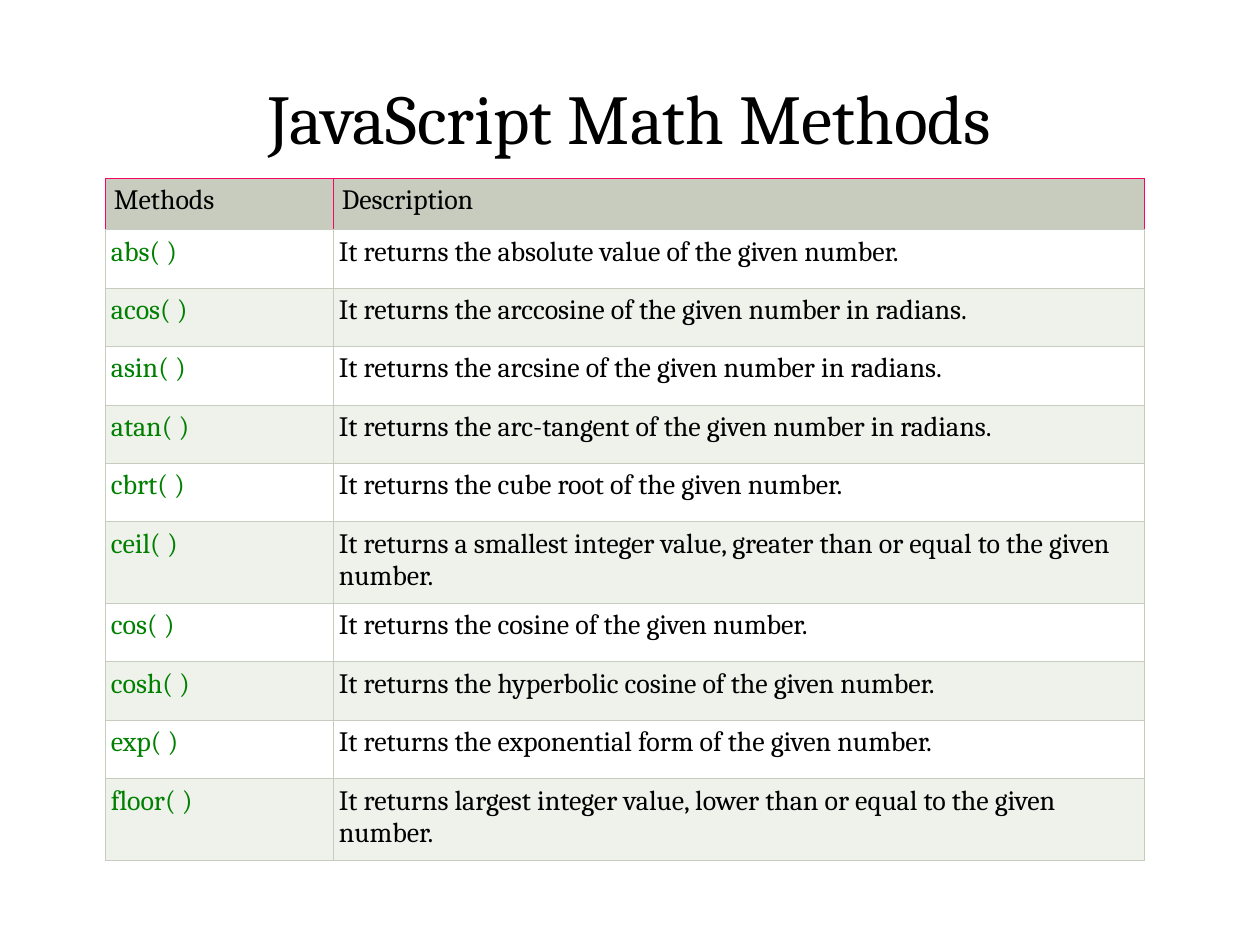
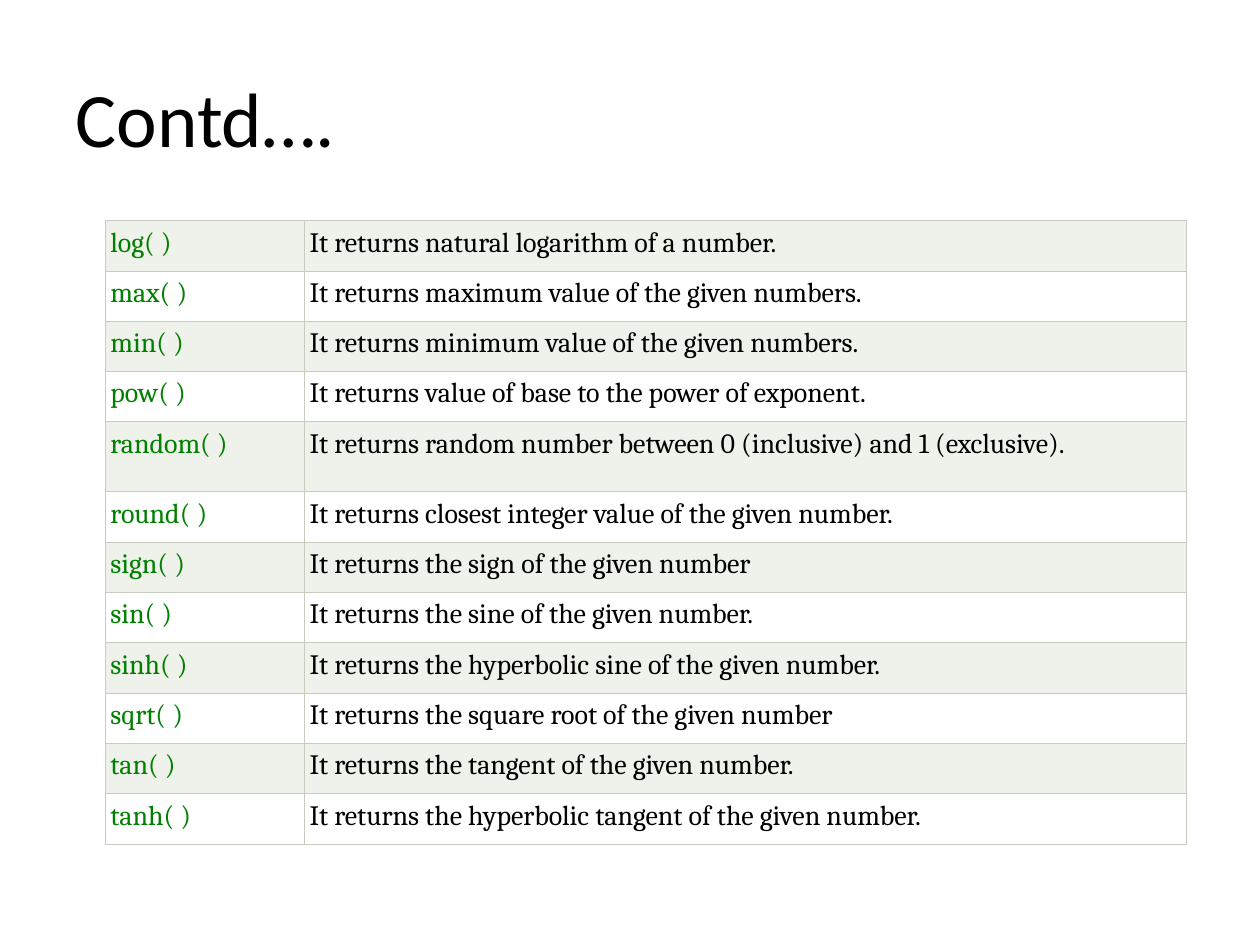
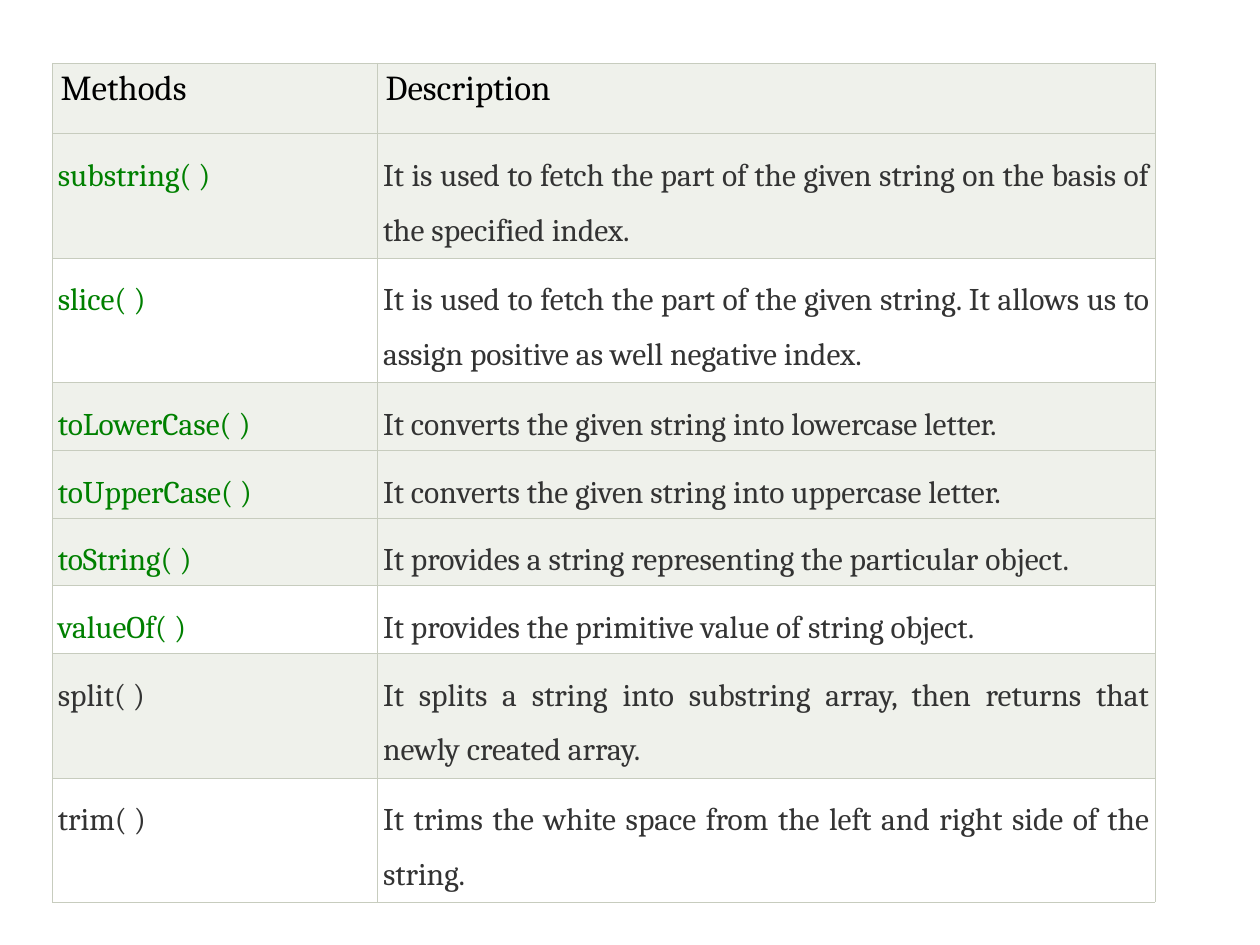
from dataclasses import dataclass
from typing import Optional

from lxml.etree import SubElement
from pptx import Presentation
from pptx.dml.color import RGBColor
from pptx.enum.text import MSO_ANCHOR, PP_ALIGN
from pptx.oxml.ns import qn
from pptx.util import Pt

BLACK = RGBColor(0x00, 0x00, 0x00)
GRAY = RGBColor(0x33, 0x33, 0x33)
GREEN = RGBColor(0x00, 0x80, 0x00)
WHITE = RGBColor(0xFF, 0xFF, 0xFF)
TINT = RGBColor(0xEF, 0xF1, 0xEB)
SAGE = RGBColor(0xC7, 0xCC, 0xBE)
PINK = RGBColor(0xF8, 0x05, 0x64)

SERIF = "Cambria"
SANS = "Calibri"
BORDER = Pt(0.34)
INSET_Y = Pt(3.6)
TITLE_ONLY, BLANK = 5, 6


@dataclass(frozen=True)
class RowStyle:
    size: float
    inset: float
    text_color: RGBColor = BLACK
    name_color: RGBColor = GREEN
    border: RGBColor = SAGE  # left, right and top; the bottom is always sage
    align: Optional[PP_ALIGN] = None
    spacing: Optional[float] = None


@dataclass(frozen=True)
class Row:
    name: str
    text: str
    height: float
    fill: RGBColor
    style: RowStyle


@dataclass(frozen=True)
class TableBox:
    left: float
    top: float
    widths: tuple[float, float]


# Row styles
MATH_HEAD = RowStyle(16, 5.1, name_color=BLACK, border=PINK)
MATH = RowStyle(16, 3.4)
MATH_MORE = RowStyle(16, 3.1)
STRING_HEAD = RowStyle(20, 4.6, name_color=BLACK)
STRING = RowStyle(18, 3.1, GRAY, align=PP_ALIGN.JUSTIFY, spacing=1.5)
STRING_PLAIN = RowStyle(18, 3.1, GRAY, GRAY, align=PP_ALIGN.JUSTIFY, spacing=1.5)

# Method lists
MATH_METHODS = [
    ("abs( )", "It returns the absolute value of the given number."),
    ("acos( )", "It returns the arccosine of the given number in radians."),
    ("asin( )", "It returns the arcsine of the given number in radians."),
    ("atan( )", "It returns the arc-tangent of the given number in radians."),
    ("cbrt( )", "It returns the cube root of the given number."),
    ("ceil( )", "It returns a smallest integer value, greater than or equal to the given number."),
    ("cos( )", "It returns the cosine of the given number."),
    ("cosh( )", "It returns the hyperbolic cosine of the given number."),
    ("exp( )", "It returns the exponential form of the given number."),
    ("floor( )", "It returns largest integer value, lower than or equal to the given number."),
]
MORE_MATH_METHODS = [
    ("log( )", "It returns natural logarithm of a number."),
    ("max( )", "It returns maximum value of the given numbers."),
    ("min( )", "It returns minimum value of the given numbers."),
    ("pow( )", "It returns value of base to the power of exponent."),
    ("random( )", "It returns random number between 0 (inclusive) and 1 (exclusive)."),
    ("round( )", "It returns closest integer value of the given number."),
    ("sign( )", "It returns the sign of the given number"),
    ("sin( )", "It returns the sine of the given number."),
    ("sinh( )", "It returns the hyperbolic sine of the given number."),
    ("sqrt( )", "It returns the square root of the given number"),
    ("tan( )", "It returns the tangent of the given number."),
    ("tanh( )", "It returns the hyperbolic tangent of the given number."),
]
ONE_LINE, TWO_LINES = 38.7, 71.1
STRING_ROWS = [
    Row("Methods", "Description", 40.4, TINT, STRING_HEAD),
    Row("substring( )", "It is used to fetch the part of the given string on the basis of "
        "the specified index.", TWO_LINES, TINT, STRING),
    Row("slice( )", "It is used to fetch the part of the given string. It allows us to "
        "assign positive as well negative index.", TWO_LINES, WHITE, STRING),
    Row("toLowerCase( )", "It converts the given string into lowercase letter.",
        ONE_LINE, TINT, STRING),
    Row("toUpperCase( )", "It converts the given string into uppercase letter.",
        ONE_LINE, TINT, STRING),
    Row("toString( )", "It provides a string representing the particular object.",
        ONE_LINE, TINT, STRING),
    Row("valueOf( )", "It provides the primitive value of string object.",
        ONE_LINE, WHITE, STRING),
    Row("split( )", "It splits a string into substring array, then returns that "
        "newly created array.", TWO_LINES, TINT, STRING_PLAIN),
    Row("trim( )", "It trims the white space from the left and right side of the "
        "string.", TWO_LINES, WHITE, STRING_PLAIN),
]


def banded_rows(methods, style: RowStyle, fills: tuple[RGBColor, RGBColor],
                height: float, tall: dict[str, float]) -> list[Row]:
    """Rows with alternating fills; tall gives the heights that differ."""
    return [Row(name, text, tall.get(name, height), fills[i % 2], style)
            for i, (name, text) in enumerate(methods)]


def set_borders(cell, color: RGBColor) -> None:
    tc_pr = cell._tc.get_or_add_tcPr()
    edges = (("a:lnL", color), ("a:lnR", color), ("a:lnT", color), ("a:lnB", SAGE))
    for i, (tag, edge_color) in enumerate(edges):
        ln = SubElement(tc_pr, qn(tag), w=str(int(BORDER)))
        fill = SubElement(ln, qn("a:solidFill"))
        SubElement(fill, qn("a:srgbClr"), val=str(edge_color))
        tc_pr.insert(i, ln)  # borders come before the fill


def fill_cell(cell, text: str, color: RGBColor, row: Row) -> None:
    style = row.style
    cell.margin_left = cell.margin_right = Pt(style.inset)
    cell.margin_top = cell.margin_bottom = INSET_Y
    cell.fill.solid()
    cell.fill.fore_color.rgb = row.fill
    set_borders(cell, style.border)
    p = cell.text_frame.paragraphs[0]
    p.text = text
    p.alignment = style.align
    p.line_spacing = style.spacing
    set_font(p, SERIF, style.size, color)


def set_font(p, name: str, size: float, color: RGBColor) -> None:
    p.font.name = name
    p.font.size = Pt(size)
    p.font.color.rgb = color


def add_methods_table(s, box: TableBox, rows: list[Row]) -> None:
    table = s.shapes.add_table(
        len(rows), 2, Pt(box.left), Pt(box.top), Pt(sum(box.widths)),
        Pt(sum(row.height for row in rows))).table
    table.first_row = table.horz_banding = False
    for column, width in zip(table.columns, box.widths):
        column.width = Pt(width)
    for i, row in enumerate(rows):
        table.rows[i].height = Pt(row.height)
        fill_cell(table.cell(i, 0), row.name, row.style.name_color, row)
        fill_cell(table.cell(i, 1), row.text, row.style.text_color, row)


def set_title(s, text: str, font: str, size: float, align: PP_ALIGN) -> None:
    title = s.shapes.title
    title.left, title.top, title.width, title.height = Pt(36), Pt(21.6), Pt(648), Pt(90)
    tf = title.text_frame
    tf.vertical_anchor = MSO_ANCHOR.MIDDLE
    p = tf.paragraphs[0]
    p.text = text
    p.alignment = align
    set_font(p, font, size, BLACK)


def main() -> None:
    prs = Presentation()
    prs.slide_width, prs.slide_height = Pt(720), Pt(540)

    # Math methods
    s = prs.slides.add_slide(prs.slide_layouts[TITLE_ONLY])
    set_title(s, "JavaScript Math Methods", SERIF, 40, PP_ALIGN.CENTER)
    head = Row("Methods", "Description", 29.2, SAGE, MATH_HEAD)
    rows = banded_rows(MATH_METHODS, MATH, (WHITE, TINT), 33.4,
                       {"ceil( )": 46.6, "floor( )": 46.6})
    add_methods_table(s, TableBox(60, 102, (130.3, 463.7)), [head, *rows])

    # Math methods, continued
    s = prs.slides.add_slide(prs.slide_layouts[TITLE_ONLY])
    set_title(s, "Contd….", SANS, 44, PP_ALIGN.LEFT)
    rows = banded_rows(MORE_MATH_METHODS, MATH_MORE, (TINT, WHITE), 28.75,
                       {"random( )": 40})
    add_methods_table(s, TableBox(60, 126, (113.8, 504.2)), rows)

    # String methods
    s = prs.slides.add_slide(prs.slide_layouts[BLANK])
    add_methods_table(s, TableBox(30, 36, (185.8, 444.2)), STRING_ROWS)

    prs.save("out.pptx")


if __name__ == "__main__":
    main()
